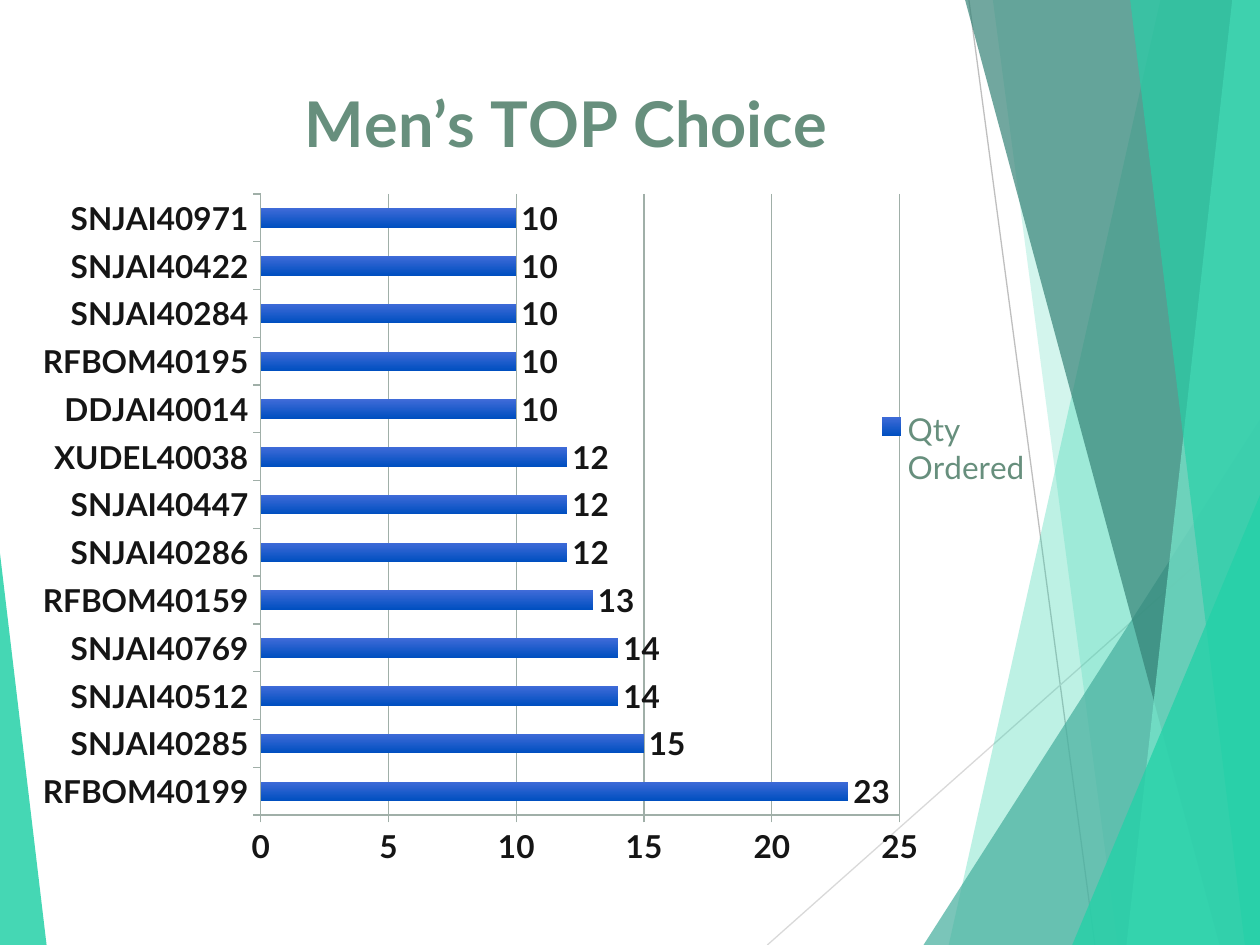
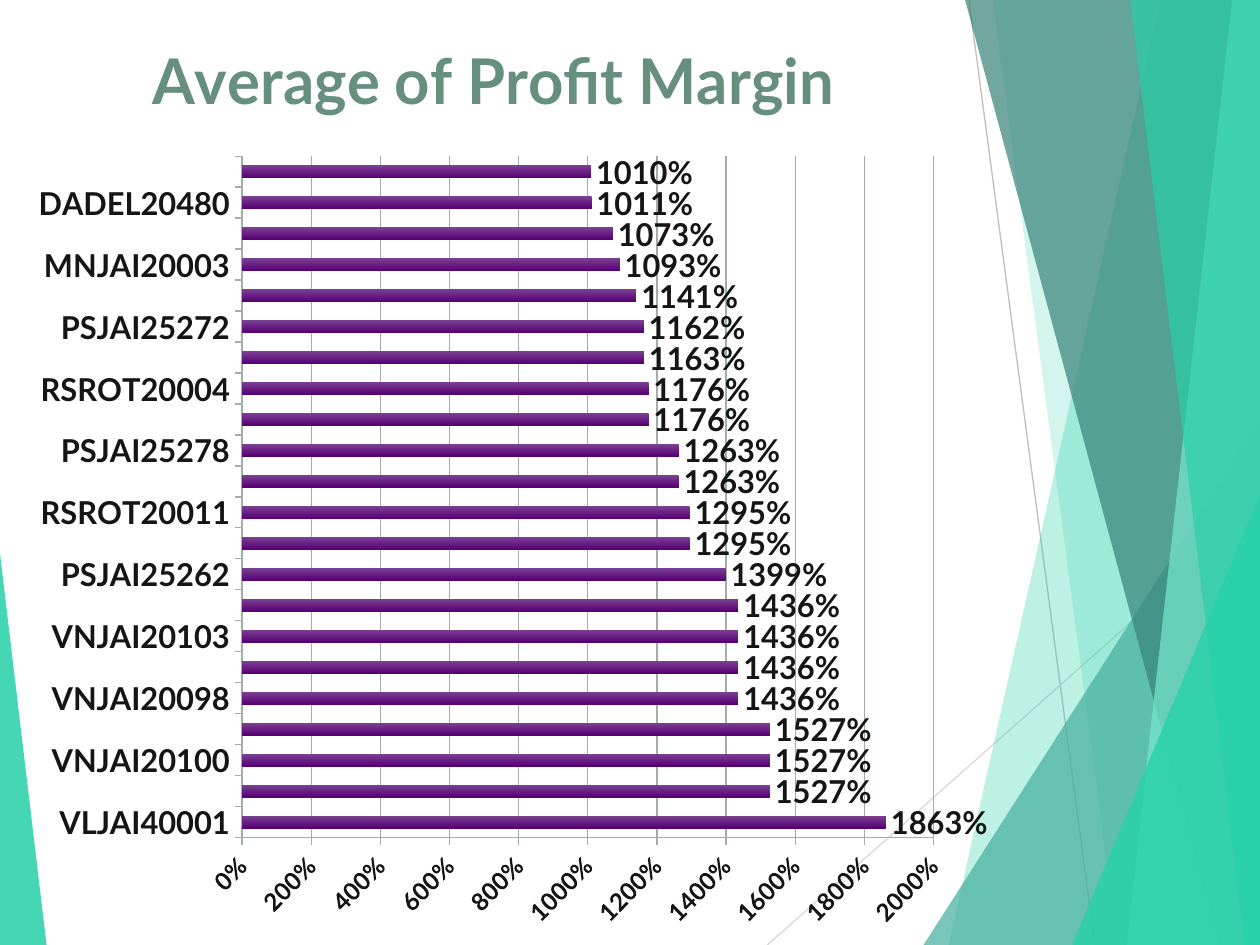
from lxml import etree
from pptx import Presentation
from pptx.chart.data import CategoryChartData
from pptx.dml.color import RGBColor
from pptx.enum.chart import XL_CHART_TYPE, XL_LABEL_POSITION, XL_LEGEND_POSITION, XL_TICK_MARK
from pptx.enum.shapes import MSO_CONNECTOR, MSO_SHAPE
from pptx.oxml.ns import qn
from pptx.util import Inches, Pt

BAR = XL_CHART_TYPE.BAR_CLUSTERED
LABEL_OUTSIDE = XL_LABEL_POSITION.OUTSIDE_END
LEGEND_RIGHT = XL_LEGEND_POSITION.RIGHT
TICK_OUT, TICK_NONE = XL_TICK_MARK.OUTSIDE, XL_TICK_MARK.NONE
STRAIGHT = MSO_CONNECTOR.STRAIGHT
TRIANGLE = MSO_SHAPE.ISOSCELES_TRIANGLE

FONT = "Lato"
COLORS = {name: RGBColor.from_string(value) for name, value in {
    "title": "678F7D", "ink": "151515", "grid": "A0AFA8",
    "mint": "25D1A8", "teal": "47AF9E", "pine": "358377", "pale": "78E7CD",
    "ray_dark": "BFBFBF", "ray_light": "D9D9D9",
    "blue_top": "3F6BD8", "blue_bottom": "004FC0",
    "purple_top": "7C4092", "purple_bottom": "560075",
}.items()}

# Shared background: thin rays, then translucent facets from back to front
RAYS = [((7.69, 0), (8.69, 7.5), "ray_dark"),
        ((10, 4.03), (6.09, 7.5), "ray_light")]
# A band is (top x, bottom x), reaching the right edge of the slide.
# A triangle is (left, top, width, height, apex).
FACETS = [((9.21, 7.53), "mint", 30),
          ((7.88, 8.87), "mint", 20),
          ((7.33, 3.33, 2.67, 4.17, 1), "teal", 72),
          ((7.66, 9.68), "pine", 70),
          ((9.78, 8.94), "pale", 70),
          ((8.97, 9.88), "mint", 65),
          ((8.51, 3.93, 1.49, 3.57, 1), "mint", 80),
          ((0, 4.39, 0.37, 3.11, 0), "mint", 85)]

# Chart content; frames and areas are in inches on the slide
CHARTS = [
    dict(title="Men’s TOP Choice", series="Qty Ordered", bar="blue",
         frame=(0.17, 0.33, 8.67, 6.67), plot=(2.07, 1.54, 5.07, 4.93),
         title_at=(2.33, 0.53), legend=(6.94, 3.23, 1.25, 0.66),
         top=25, step=5, format="General", axis_size=18, angle=0,
         rows=[("RFBOM40199", 23), ("SNJAI40285", 15), ("SNJAI40512", 14),
               ("SNJAI40769", 14), ("RFBOM40159", 13), ("SNJAI40286", 12),
               ("SNJAI40447", 12), ("XUDEL40038", 12), ("DDJAI40014", 10),
               ("RFBOM40195", 10), ("SNJAI40284", 10), ("SNJAI40422", 10),
               ("SNJAI40971", 10)]),
    dict(title="Average of Profit Margin", series="Average of Profit Margin", bar="purple",
         frame=(0.17, 0, 7.67, 7.5), plot=(1.96, 1.24, 5.61, 5.41),
         title_at=(1.14, 0.19), legend=None,
         top=20, step=2, format="0%", axis_size=14, angle=-45,
         rows=[("VLJAI40001", 18.63), ("VNJAI20099", 15.27), ("VNJAI20100", 15.27),
               ("VNJAI20102", 15.27), ("VNJAI20098", 14.36), ("VNJAI20101", 14.36),
               ("VNJAI20103", 14.36), ("VNJAI20104", 14.36), ("PSJAI25262", 13.99),
               ("RSROT20007", 12.95), ("RSROT20011", 12.95), ("PSJAI25265", 12.63),
               ("PSJAI25278", 12.63), ("RSROT20002", 11.76), ("RSROT20004", 11.76),
               ("VNJAI20199", 11.63), ("PSJAI25272", 11.62), ("PSJAI60009", 11.41),
               ("MNJAI20003", 10.93), ("SCCCU20045", 10.73), ("DADEL20480", 10.11),
               ("PSJAI25268", 10.1)]),
]


def write_text(frame, text, size=18, color="ink", bold=False):
    frame.text = text
    font = frame.paragraphs[0].runs[0].font
    font.name, font.size, font.bold = FONT, Pt(size), bold
    font.color.rgb = COLORS[color]


def place(part, index, area, frame, inner=False):
    """Fix a chart part at an area given in slide inches."""
    for old in part.findall(qn("c:layout")):
        part.remove(old)
    layout = etree.Element(qn("c:layout"))
    part.insert(index, layout)
    manual = etree.SubElement(layout, qn("c:manualLayout"))
    left, top, width, height = frame
    fractions = [(area[0] - left) / width, (area[1] - top) / height]
    if len(area) == 4:
        fractions += [area[2] / width, area[3] / height]
    settings = [("layoutTarget", "inner")] if inner else []
    settings += [("xMode", "edge"), ("yMode", "edge")]
    settings += [(key, f"{value:.4f}") for key, value in zip("xywh", fractions)]
    for key, value in settings:
        etree.SubElement(manual, qn(f"c:{key}")).set("val", value)


prs = Presentation()
prs.slide_width, prs.slide_height = Inches(10), Inches(7.5)
blank = prs.slide_layouts[6]

for content in CHARTS:
    slide = prs.slides.add_slide(blank)
    shapes = slide.shapes

    # Rays
    for start, end, color in RAYS:
        ray = shapes.add_connector(STRAIGHT, *map(Inches, start + end))
        ray.line.color.rgb, ray.line.width = COLORS[color], Pt(0.75)
        etree.SubElement(ray._element.spPr, qn("a:effectLst"))

    # Facets
    for geometry, color, opacity in FACETS:
        if len(geometry) == 2:
            top_x, bottom_x = geometry
            outline = shapes.build_freeform(Inches(top_x), Inches(0))
            outline.add_line_segments([(Inches(x), Inches(y)) for x, y in
                                       ((10, 0), (10, 7.5), (bottom_x, 7.5))])
            facet = outline.convert_to_shape()
        else:
            facet = shapes.add_shape(TRIANGLE, *map(Inches, geometry[:4]))
            facet.adjustments[0] = geometry[4]
        facet.shadow.inherit = False
        facet.line.fill.background()
        facet.fill.solid()
        facet.fill.fore_color.rgb = COLORS[color]
        tint = facet._element.spPr.find(".//" + qn("a:srgbClr"))
        etree.SubElement(tint, qn("a:alpha")).set("val", str(opacity * 1000))

    # Chart
    frame = content["frame"]
    data = CategoryChartData(number_format=content["format"])
    data.categories = [code for code, _ in content["rows"]]
    data.add_series(content["series"], [value for _, value in content["rows"]])
    chart = shapes.add_chart(BAR, *map(Inches, frame), data).chart
    chart.font.name, chart.font.size = FONT, Pt(18)
    chart.font.color.rgb = COLORS["title"]
    chart_xml = chart._chartSpace

    # Title
    chart.has_title = True
    write_text(chart.chart_title.text_frame, content["title"], size=36, color="title", bold=True)
    place(chart_xml.xpath("c:chart/c:title")[0], 1, content["title_at"], frame)
    place(chart_xml.xpath("c:chart/c:plotArea")[0], 0, content["plot"], frame, inner=True)

    # Legend
    chart.has_legend = content["legend"] is not None
    if chart.has_legend:
        chart.legend.position = LEGEND_RIGHT
        chart.legend.include_in_layout = False
        place(chart_xml.xpath("c:chart/c:legend")[0], 1, content["legend"], frame)

    # Axes
    codes, amounts = chart.category_axis, chart.value_axis
    amounts.has_major_gridlines = True
    for axis, size in ((codes, 18), (amounts, content["axis_size"])):
        axis.major_tick_mark, axis.minor_tick_mark = TICK_OUT, TICK_NONE
        font = axis.tick_labels.font
        font.name, font.size, font.bold = FONT, Pt(size), True
        font.color.rgb = COLORS["ink"]
    for ruled in (codes, amounts, amounts.major_gridlines):
        ruled.format.line.color.rgb = COLORS["grid"]
        ruled.format.line.width = Pt(0.75)
    amounts.minimum_scale, amounts.maximum_scale = 0, content["top"]
    amounts.major_unit = content["step"]
    amounts.tick_labels.number_format = content["format"]
    amounts.tick_labels.number_format_is_linked = False
    if content["angle"]:
        body = chart_xml.xpath("//c:valAx/c:txPr/a:bodyPr")[0]
        body.set("rot", str(content["angle"] * 60000))
        body.set("vert", "horz")

    # Bars and value labels
    plot = chart.plots[0]
    plot.gap_width, plot.vary_by_categories = 150, False
    fill = plot.series[0].format.fill
    fill.gradient()
    fill.gradient_angle = 270
    for stop, end in zip(fill.gradient_stops, ("top", "bottom")):
        stop.color.rgb = COLORS[f"{content['bar']}_{end}"]
    plot.has_data_labels = True
    labels = plot.data_labels
    labels.show_value, labels.position = True, LABEL_OUTSIDE
    labels.number_format, labels.number_format_is_linked = content["format"], False
    labels.font.name, labels.font.size, labels.font.bold = FONT, Pt(18), True
    labels.font.color.rgb = COLORS["ink"]

prs.save("out.pptx")
